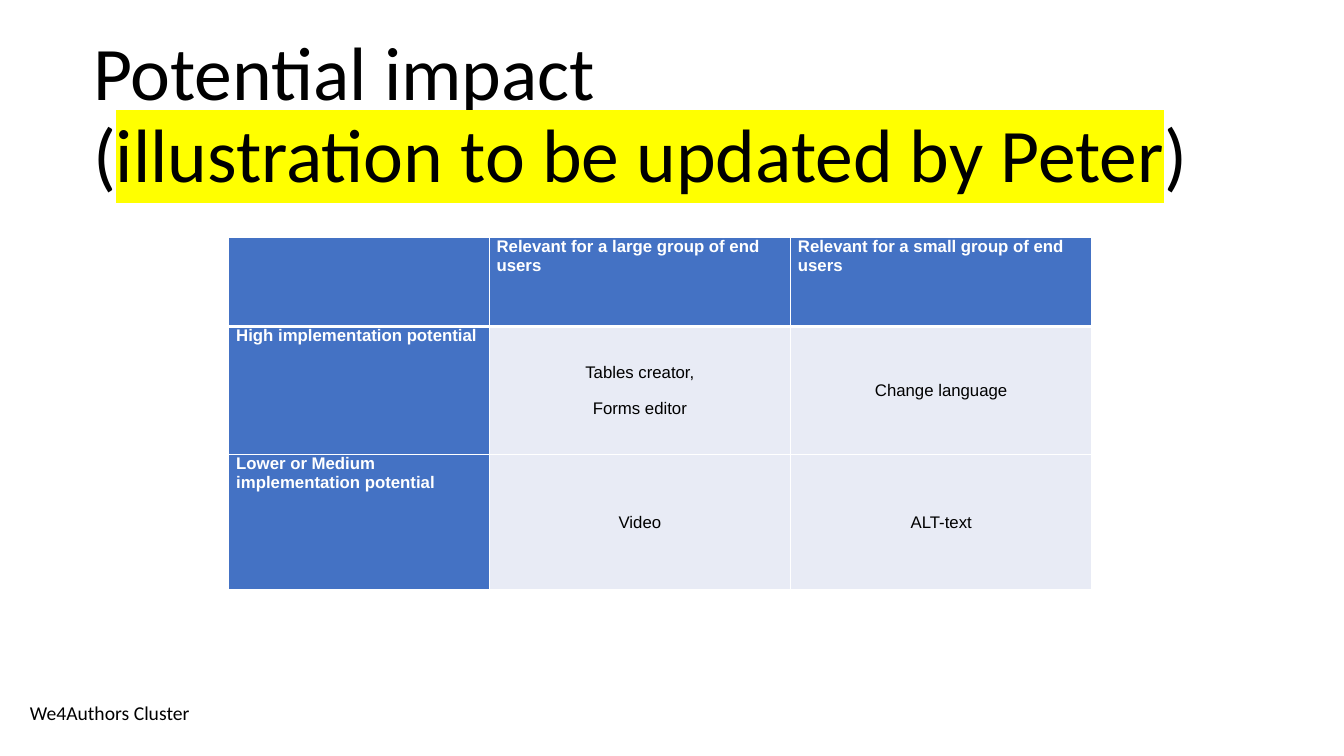
from lxml.etree import SubElement
from pptx import Presentation
from pptx.dml.color import RGBColor
from pptx.enum.text import MSO_ANCHOR, MSO_AUTO_SIZE, PP_ALIGN
from pptx.oxml.ns import qn
from pptx.util import Pt

PX = 9525  # EMU per pixel, 96 pixels to the inch
COLORS = {"text": "000000", "light": "FFFFFF", "header": "4472C4",
          "body": "E8EBF5", "highlight": "FFFF00"}
FORMATS = {
    "title": {"name": "Calibri", "size": Pt(54), "bold": False},
    "footer": {"name": "Calibri", "size": Pt(14), "bold": False},
    "header": {"name": "Arial", "size": Pt(12), "bold": True},
    "body": {"name": "Arial", "size": Pt(12), "bold": False},
}
COLUMN_WIDTHS = [248, 287, 287]
ROW_HEIGHTS = [85, 122, 129]
IMPACT_ROWS = [
    ["", "Relevant for a large group of end users",
     "Relevant for a small group of end users"],
    ["High implementation potential", "Tables creator,\nForms editor", "Change language"],
    ["Lower or Medium implementation potential", "Video", "ALT-text"],
]


def scale(box):
    return [length * PX for length in box]


def add_run(paragraph, text, style, color="text"):
    run = paragraph.add_run()
    run.text = text
    for attribute, value in FORMATS[style].items():
        setattr(run.font, attribute, value)
    run.font.color.rgb = RGBColor.from_string(COLORS[color])
    return run


def highlight(run, color):
    properties = run.font._element
    mark = SubElement(properties, qn("a:highlight"))
    SubElement(mark, qn("a:srgbClr"), val=COLORS[color])
    properties.find(qn("a:solidFill")).addnext(mark)


def add_title(slide, box):
    title = slide.shapes.title
    title.left, title.top, title.width, title.height = scale(box)
    frame = title.text_frame
    frame.word_wrap = True
    frame.auto_size = MSO_AUTO_SIZE.NONE
    frame.vertical_anchor = MSO_ANCHOR.BOTTOM
    paragraph = frame.paragraphs[0]
    paragraph.alignment = PP_ALIGN.LEFT
    paragraph.line_spacing = 0.9
    add_run(paragraph, "Potential impact", "title")
    paragraph.add_line_break()
    add_run(paragraph, "(", "title")
    highlight(add_run(paragraph, "illustration to be updated by Peter", "title"), "highlight")
    add_run(paragraph, ")", "title")


def set_borders(cell, row):
    widths = {"a:lnL": 1, "a:lnR": 1, "a:lnT": 3 if row == 1 else 1,
              "a:lnB": 3 if row == 0 else 1}
    for tag, width in widths.items():
        line = SubElement(cell._tc.get_or_add_tcPr(), qn(tag), w=str(Pt(width)))
        fill = SubElement(line, qn("a:solidFill"))
        SubElement(fill, qn("a:srgbClr"), val=COLORS["light"])


def fill_cell(cell, text, row, column):
    is_header = row == 0 or column == 0
    style = "header" if is_header else "body"
    set_borders(cell, row)
    cell.fill.solid()
    cell.fill.fore_color.rgb = RGBColor.from_string(COLORS[style])
    cell.margin_left = cell.margin_right = 7 * PX
    cell.margin_top = cell.margin_bottom = 0
    cell.vertical_anchor = MSO_ANCHOR.TOP if is_header else MSO_ANCHOR.MIDDLE
    if not text:
        return
    for index, line in enumerate(text.split("\n")):
        frame = cell.text_frame
        paragraph = frame.add_paragraph() if index else frame.paragraphs[0]
        paragraph.alignment = PP_ALIGN.LEFT if is_header else PP_ALIGN.CENTER
        if index:
            paragraph.space_before = Pt(12)
        add_run(paragraph, line, style, "light" if is_header else "text")


def add_impact_table(slide, left, top):
    box = scale([left, top, sum(COLUMN_WIDTHS), sum(ROW_HEIGHTS)])
    table = slide.shapes.add_table(len(ROW_HEIGHTS), len(COLUMN_WIDTHS), *box).table
    table.first_row = table.horz_banding = False
    for column, width in zip(table.columns, COLUMN_WIDTHS):
        column.width = width * PX
    for row, height in zip(table.rows, ROW_HEIGHTS):
        row.height = height * PX
    for row, texts in enumerate(IMPACT_ROWS):
        for column, text in enumerate(texts):
            fill_cell(table.cell(row, column), text, row, column)


def add_footer(slide, box):
    frame = slide.shapes.add_textbox(*scale(box)).text_frame
    frame.word_wrap = True
    add_run(frame.paragraphs[0], "We4Authors Cluster", "footer")


def main():
    presentation = Presentation()
    presentation.slide_width, presentation.slide_height = scale([1280, 720])
    slide = presentation.slides.add_slide(presentation.slide_layouts[5])
    # Footer label, title, then the impact matrix
    add_footer(slide, [19, 663, 174, 33])
    add_title(slide, [79, 83, 1115, 111])
    add_impact_table(slide, 218, 226)
    presentation.save("out.pptx")


if __name__ == "__main__":
    main()
